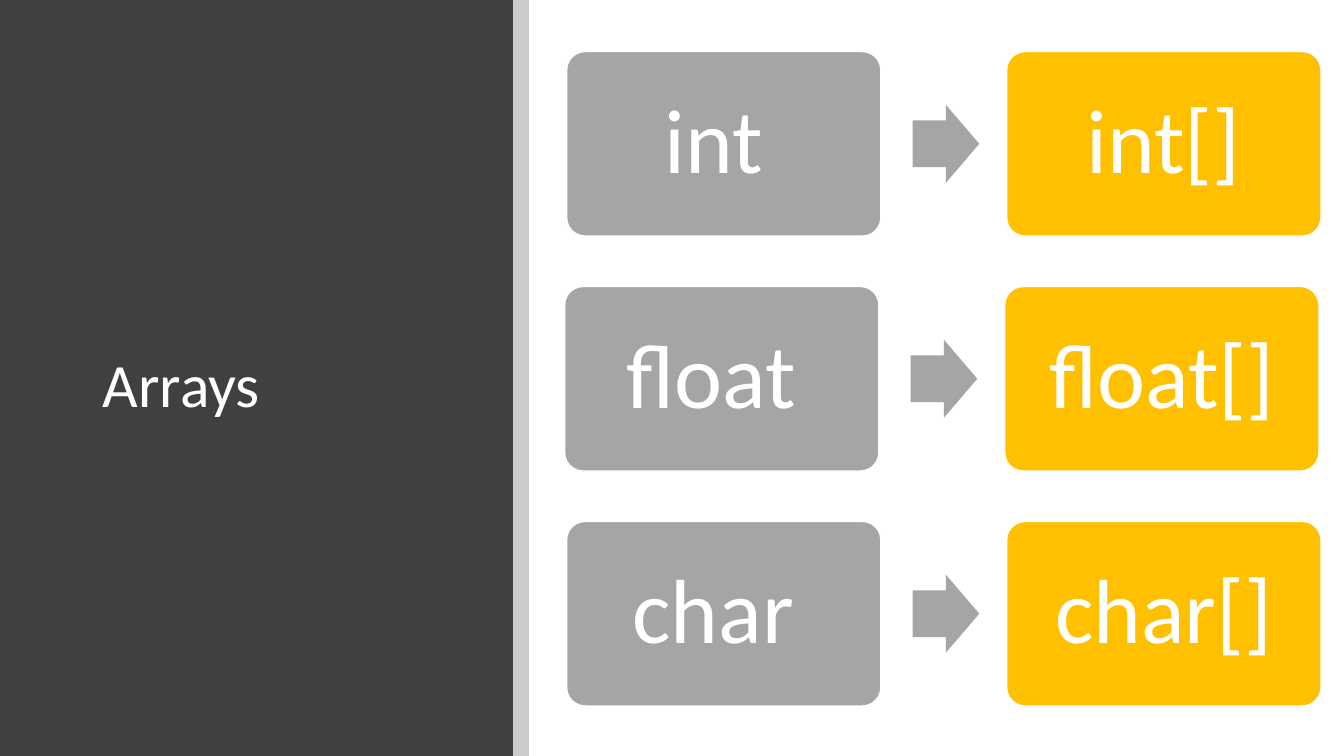
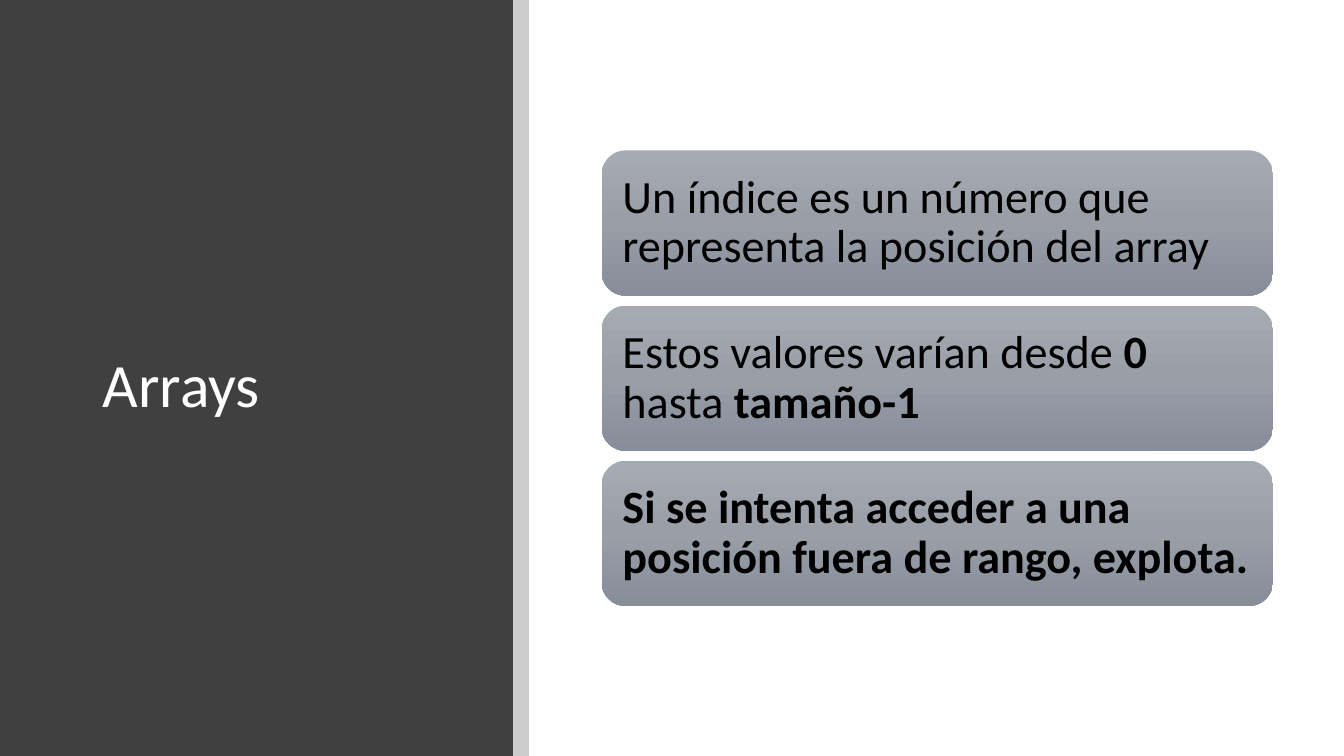
import copy

import lxml.etree
import pptx
import pptx.dml.color
import pptx.enum.shapes
import pptx.enum.text
import pptx.oxml.ns
import pptx.util

Cm = pptx.util.Cm
Pt = pptx.util.Pt
RGBColor = pptx.dml.color.RGBColor
MSO_SHAPE = pptx.enum.shapes.MSO_SHAPE
PP_ALIGN = pptx.enum.text.PP_ALIGN
MSO_ANCHOR = pptx.enum.text.MSO_ANCHOR
qn = pptx.oxml.ns.qn

# Shared look
FONT = "Calibri"
WHITE = RGBColor(0xFF, 0xFF, 0xFF)
BLACK = RGBColor(0x00, 0x00, 0x00)
PANEL = RGBColor(0x40, 0x40, 0x40)
GRAY = RGBColor(0xA5, 0xA5, 0xA5)
AMBER = RGBColor(0xFF, 0xC0, 0x00)
CARD_GRADIENT = (
    RGBColor(0xA5, 0xAA, 0xB3),
    RGBColor(0x99, 0x9E, 0xA7),
    RGBColor(0x87, 0x8E, 0x9A),
)

SLIDE_W, SLIDE_H = Cm(33.87), Cm(19.05)
PANEL_W, STRIP_W = Cm(12.93), Cm(0.4)


def write_text(sp, runs, size, color, align=PP_ALIGN.LEFT, inset=Cm(0.25)):
    """Fill a shape with one paragraph made of (text, bold) runs."""
    tf = sp.text_frame
    tf.word_wrap = True
    tf.vertical_anchor = MSO_ANCHOR.MIDDLE
    tf.margin_left = tf.margin_right = tf.margin_top = tf.margin_bottom = inset
    p = tf.paragraphs[0]
    p.alignment = align
    p.line_spacing = 0.9
    for text, bold in runs:
        r = p.add_run()
        r.text = text
        r.font.name = FONT
        r.font.size = Pt(size)
        r.font.bold = bold
        r.font.color.rgb = color


def add_block(s, kind, left, top, width, height, fill=None, line=None):
    sp = s.shapes.add_shape(kind, left, top, width, height)
    sp.shadow.inherit = False
    if fill is not None:
        sp.fill.solid()
        sp.fill.fore_color.rgb = fill
    if line is None:
        sp.line.fill.background()
    else:
        sp.line.color.rgb = line
        sp.line.width = Pt(1)
    return sp


def set_alpha(sp, percent):
    clr = sp.element.spPr.find(qn("a:solidFill"))[0]
    lxml.etree.SubElement(clr, qn("a:alpha")).set("val", str(percent * 1000))


def set_gradient(sp, colors):
    """Three-stop gradient from top to bottom."""
    sp.fill.gradient()
    sp.fill.gradient_angle = 270
    stops = sp.element.spPr.find(qn("a:gradFill")).find(qn("a:gsLst"))
    stops.insert(1, copy.deepcopy(stops[0]))
    for i, (stop, color) in enumerate(zip(sp.fill.gradient_stops, colors)):
        stop.position = i / 2
        stop.color.rgb = color


def new_slide(prs, title):
    """Blank slide with the dark side panel, its strip and the title."""
    s = prs.slides.add_slide(prs.slide_layouts[6])
    add_block(s, MSO_SHAPE.RECTANGLE, 0, 0, PANEL_W, SLIDE_H, PANEL)
    strip = add_block(s, MSO_SHAPE.RECTANGLE, PANEL_W, 0, STRIP_W, SLIDE_H, BLACK)
    set_alpha(strip, 20)
    box = s.shapes.add_textbox(Cm(2.34), Cm(2.26), Cm(9.27), Cm(15))
    write_text(box, [(title, False)], 44, WHITE)
    return s


def add_type_row(s, left, top, name):
    """A type, an arrow and the array of that type."""
    width, height = Cm(7.92), Cm(4.65)
    arrow_w, arrow_h = Cm(1.68), Cm(1.96)
    # The space after the plain type keeps it slightly left of centre
    boxes = ((left, name + " ", GRAY), (left + Cm(11.09), name + "[]", AMBER))
    for x, text, fill in boxes:
        sp = add_block(s, MSO_SHAPE.ROUNDED_RECTANGLE, x, top, width, height, fill, WHITE)
        sp.adjustments[0] = 0.1
        write_text(sp, [(text, False)], 65, WHITE, PP_ALIGN.CENTER, Cm(0.69))
    arrow = add_block(s, MSO_SHAPE.RIGHT_ARROW, left + Cm(8.72),
                      top + (height - arrow_h) // 2, arrow_w, arrow_h, GRAY)
    arrow.adjustments[0] = 0.6


def add_card(s, top, runs):
    sp = add_block(s, MSO_SHAPE.ROUNDED_RECTANGLE, Cm(15.16), top, Cm(16.92), Cm(3.66))
    set_gradient(sp, CARD_GRADIENT)
    write_text(sp, runs, 33, BLACK, inset=Cm(0.35))


def main():
    prs = pptx.Presentation()
    prs.slide_width, prs.slide_height = SLIDE_W, SLIDE_H

    # Slide 1: types and their arrays
    s = new_slide(prs, "Arrays")
    rows = (("int", 14.28), ("float", 14.23), ("char", 14.28))
    for i, (name, left) in enumerate(rows):
        add_type_row(s, Cm(left), Cm(1.3 + 5.92 * i), name)

    # Slide 2: facts about the index
    s = new_slide(prs, "Arrays")
    cards = (
        [("Un índice es un número que representa la posición del array", False)],
        [("Estos valores varían desde ", False), ("0 ", True),
         ("hasta ", False), ("tamaño-1", True)],
        [("Si se intenta acceder a una posición fuera de rango, explota.", True)],
    )
    for i, runs in enumerate(cards):
        add_card(s, Cm(3.79 + 3.91 * i), runs)

    prs.save("out.pptx")


if __name__ == "__main__":
    main()
